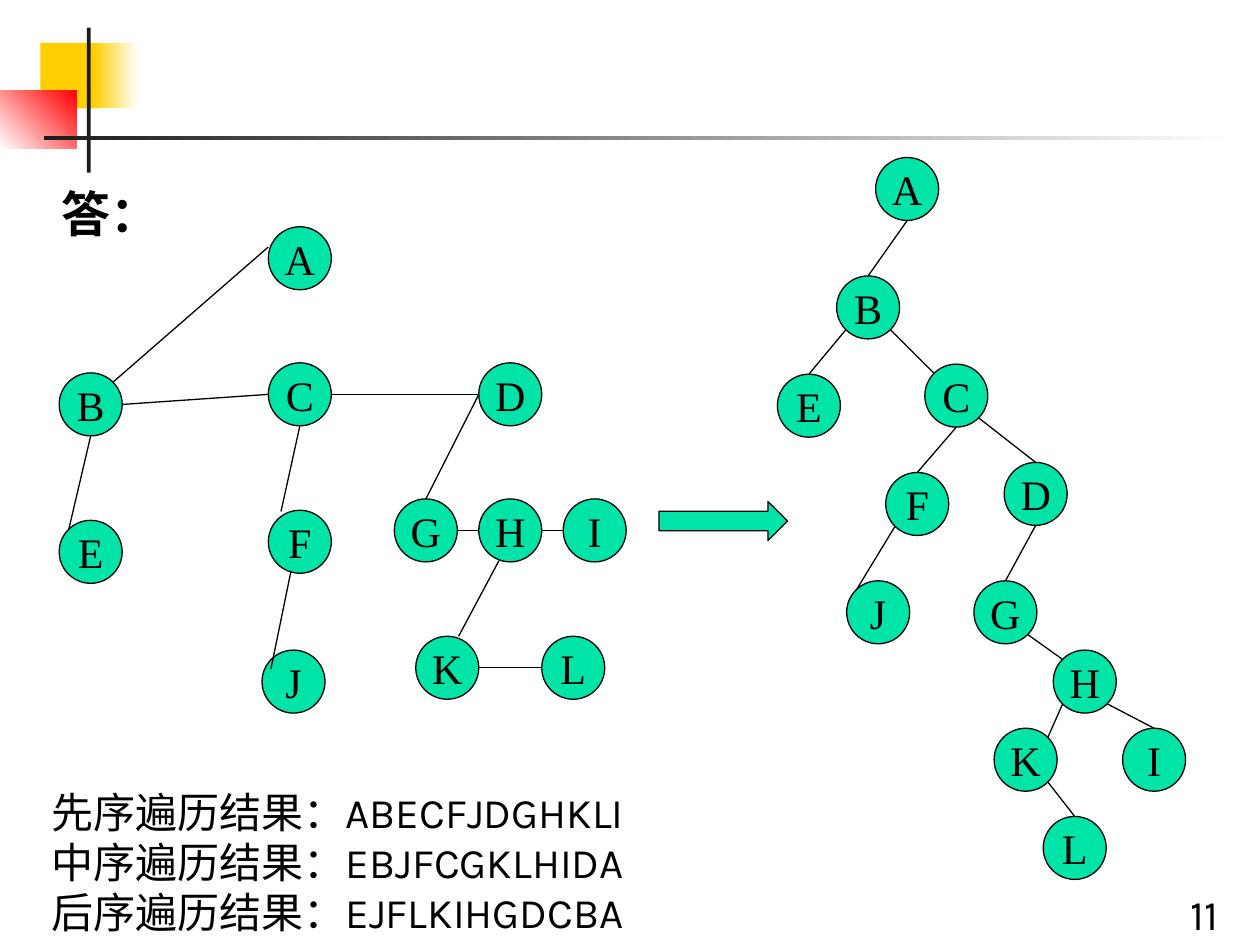
from lxml import etree
from pptx import Presentation
from pptx.dml.color import RGBColor
from pptx.enum.shapes import MSO_CONNECTOR, MSO_SHAPE
from pptx.enum.text import MSO_ANCHOR, PP_ALIGN
from pptx.oxml.ns import qn
from pptx.util import Inches, Pt

RECTANGLE = MSO_SHAPE.RECTANGLE
CIRCLE = MSO_SHAPE.FLOWCHART_CONNECTOR
ARROW = MSO_SHAPE.RIGHT_ARROW
STRAIGHT = MSO_CONNECTOR.STRAIGHT
MIDDLE = MSO_ANCHOR.MIDDLE
CENTER = PP_ALIGN.CENTER

WIDTH, HEIGHT = 10, 7.5
NODE = 0.5
GREEN, BLACK, WHITE = "00E4A8", "000000", "FFFFFF"
YELLOW, RED, CHARCOAL = "FFCF01", "FF0000", "1C1C1C"
LATIN, SERIF, CHINESE = "Karla", "Times New Roman", "Noto Sans CJK SC"

DECORATION = [
    ((0.32, 0.34, 0.48, 0.52), [YELLOW], 0),
    ((0.74, 0.34, 0.36, 0.52), [YELLOW, WHITE], 0),
    ((0, 0.72, 0.61, 0.46), [WHITE, RED], 45),
    ((0.69, 0.22, 0.03, 1.15), [CHARCOAL], 0),
    ((0.35, 1.08, 9.45, 0.03), [CHARCOAL, WHITE], 0),
]

SITES = {
    "top": (0.5, 0), "bottom": (0.5, 1), "left": (0, 0.5), "right": (1, 0.5),
    "top left": (0.15, 0.15), "top right": (0.85, 0.15),
    "bottom left": (0.15, 0.85), "bottom right": (0.85, 0.85),
}

FOREST_NODES = {
    "A": (2.13, 1.8), "C": (2.13, 2.88), "J": (2.08, 5.16), "F": (2.13, 4.05),
    "E": (0.47, 4.13), "B": (0.47, 2.96), "D": (3.8, 2.88), "L": (4.3, 5.05),
    "K": (3.3, 5.05), "I": (4.47, 3.96), "H": (3.8, 3.96), "G": (3.13, 3.96),
}
FOREST_EDGES = [
    ("A", (0, 0.32), "B", "top right"),
    ("B", "bottom", "E", "top left"),
    ("C", "bottom", "F", (0.2, 0.02)),
    ("F", (0.36, 0.96), "J", (0.14, 0.3)),
    ("D", "left", "G", "top"),
    ("H", (0.32, 0.98), "K", (0.68, 0)),
    ("B", "right", "C", "left"),
    ("C", "right", "D", "left"),
    ("G", "right", "H", "left"),
    ("H", "right", "I", "left"),
    ("K", "right", "L", "left"),
]

BINARY_NODES = {
    "A": (6.95, 1.25), "C": (7.34, 2.89), "J": (6.72, 4.61), "F": (7.03, 3.75),
    "E": (6.17, 2.97), "B": (6.64, 2.19), "D": (7.97, 3.67), "L": (8.28, 6.48),
    "K": (7.89, 5.78), "I": (8.91, 5.78), "H": (8.36, 5.16), "G": (7.73, 4.61),
}
BINARY_EDGES = [
    ("A", "bottom", "B", "top"),
    ("B", "bottom left", "E", "top"),
    ("B", "bottom right", "C", "top left"),
    ("C", "bottom right", "D", "top"),
    ("C", "bottom", "F", "top"),
    ("F", "bottom left", "J", "top left"),
    ("D", "bottom", "G", "top"),
    ("G", "bottom right", "H", "top left"),
    ("H", "bottom right", "I", "top"),
    ("H", "bottom left", "K", "top right"),
    ("K", "bottom right", "L", "top"),
]

TRAVERSALS = [
    ("先序遍历结果：", "ABECFJDGHKLI"),
    ("中序遍历结果：", "EBJFCGKLHIDA"),
    ("后序遍历结果：", "EJFLKIHGDCBA"),
]


def color(value):
    return RGBColor.from_string(value)


def add_run(paragraph, text, size, font, bold=False):
    run = paragraph.add_run()
    run.text = text
    run.font.size = Pt(size)
    run.font.name = font
    run.font.bold = bold
    run.font.color.rgb = color(BLACK)
    east_asian = etree.SubElement(run.font._element, qn("a:ea"))
    east_asian.set("typeface", CHINESE)


def add_shape(shapes, kind, box, fills, angle=0, outline=None):
    shape = shapes.add_shape(kind, *map(Inches, box))
    shape.shadow.inherit = False
    if len(fills) == 1:
        shape.fill.solid()
        shape.fill.fore_color.rgb = color(fills[0])
    else:
        shape.fill.gradient()
        shape.fill.gradient_angle = angle
        for position, (stop, value) in enumerate(zip(shape.fill.gradient_stops, fills)):
            stop.color.rgb = color(value)
            stop.position = position
    if outline:
        shape.line.color.rgb = color(outline)
        shape.line.width = Pt(0.75)
    else:
        shape.line.fill.background()
    return shape


def add_text(slide, box, lines, size, font, bold=False):
    frame = slide.shapes.add_textbox(*map(Inches, box)).text_frame
    frame.word_wrap = True
    for index, runs in enumerate(lines):
        paragraph = frame.add_paragraph() if index else frame.paragraphs[0]
        for text in runs:
            add_run(paragraph, text, size, font, bold)


def site_point(corner, site):
    shares = SITES.get(site, site)
    return [Inches(start + NODE * share) for start, share in zip(corner, shares)]


def add_tree(slide, nodes, edges):
    shapes = slide.shapes.add_group_shape().shapes
    for label, corner in nodes.items():
        node = add_shape(shapes, CIRCLE, (*corner, NODE, NODE), [GREEN], outline=BLACK)
        frame = node.text_frame
        frame.word_wrap = False
        frame.vertical_anchor = MIDDLE
        frame.paragraphs[0].alignment = CENTER
        add_run(frame.paragraphs[0], label, 24, SERIF)
    for first, first_site, second, second_site in edges:
        edge = shapes.add_connector(
            STRAIGHT,
            *site_point(nodes[first], first_site),
            *site_point(nodes[second], second_site),
        )
        edge.line.color.rgb = color(BLACK)
        edge.line.width = Pt(0.75)
        etree.SubElement(edge._element.spPr, qn("a:effectLst"))


def main():
    presentation = Presentation()
    presentation.slide_width = Inches(WIDTH)
    presentation.slide_height = Inches(HEIGHT)
    slide = presentation.slides.add_slide(presentation.slide_layouts[6])

    for box, fills, angle in DECORATION:
        add_shape(slide.shapes, RECTANGLE, box, fills, angle)
    add_text(slide, (9.35, 7, 0.65, 0.5), [["11"]], 24, LATIN)
    add_text(slide, (0.39, 1.41, 1, 0.57), [["答："]], 28, CHINESE, bold=True)
    add_tree(slide, FOREST_NODES, FOREST_EDGES)
    add_tree(slide, BINARY_NODES, BINARY_EDGES)
    add_shape(slide.shapes, ARROW, (5.23, 3.98, 1.02, 0.31), [GREEN], outline=BLACK)
    add_text(slide, (0.31, 6.19, 6.09, 1.31), TRAVERSALS, 24, LATIN)

    presentation.save("out.pptx")


if __name__ == "__main__":
    main()
